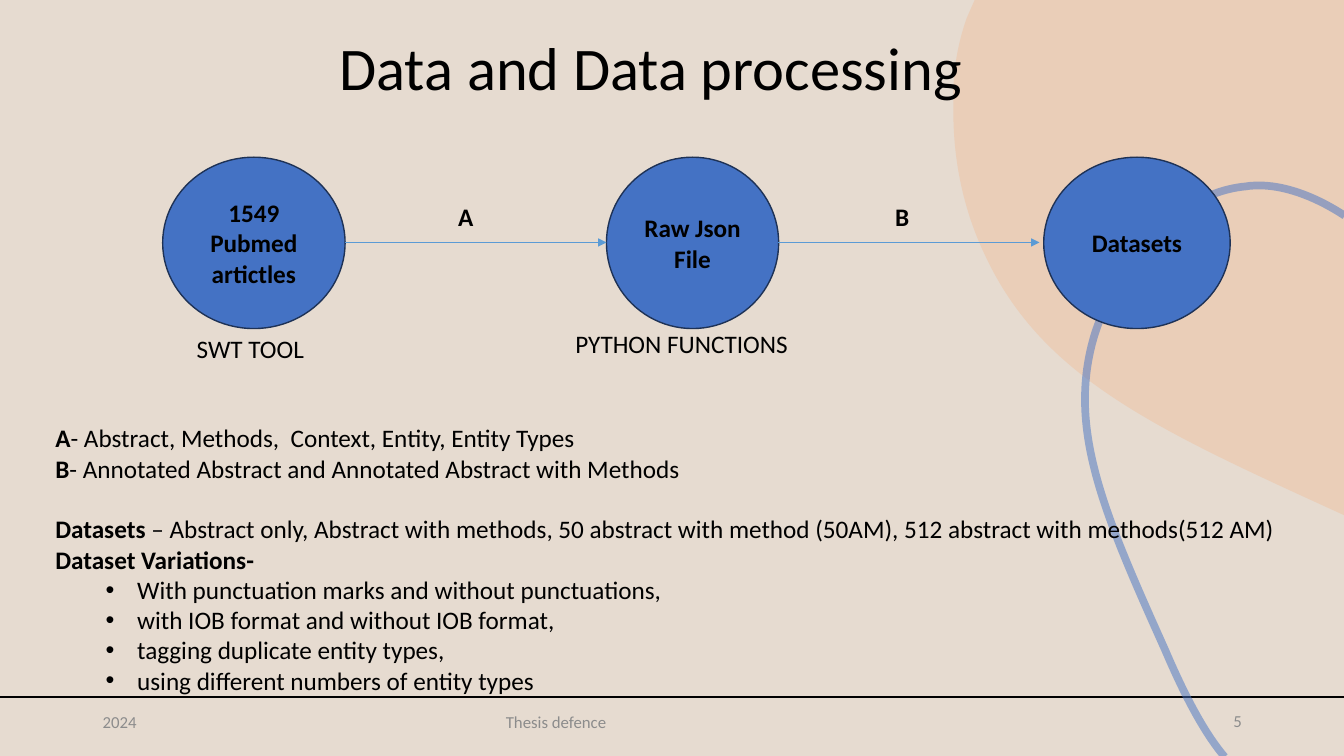
from dataclasses import dataclass

from lxml import etree
from pptx import Presentation
from pptx.dml.color import RGBColor
from pptx.enum.shapes import MSO_CONNECTOR, MSO_SHAPE
from pptx.enum.text import MSO_ANCHOR, PP_ALIGN
from pptx.oxml.ns import qn
from pptx.util import Pt

CIRCLE = MSO_SHAPE.FLOWCHART_CONNECTOR
STRAIGHT = MSO_CONNECTOR.STRAIGHT
TOP, MIDDLE = MSO_ANCHOR.TOP, MSO_ANCHOR.MIDDLE
LEFT, CENTER, RIGHT = PP_ALIGN.LEFT, PP_ALIGN.CENTER, PP_ALIGN.RIGHT

SAND = RGBColor(0xE6, 0xDB, 0xD0)
PEACH = RGBColor(0xF4, 0xB1, 0x83)
BLUE = RGBColor(0x44, 0x72, 0xC4)
NAVY = RGBColor(0x1E, 0x32, 0x56)
SKY = RGBColor(0x5B, 0x9B, 0xD5)
BLACK = RGBColor(0, 0, 0)
GRAY = RGBColor(0x8C, 0x8C, 0x8C)

FONT = "Calibri"
ARROW_Y = 173.2


@dataclass(frozen=True)
class Span:
    text: str
    bold: bool = False


@dataclass(frozen=True)
class Para:
    spans: tuple[Span, ...]
    bullet: bool = False
    before: float = 0
    tab: float = 0


@dataclass(frozen=True)
class Label:
    left: float
    top: float
    width: float
    height: float
    paras: tuple[Para, ...]
    size: float = 18
    color: RGBColor = BLACK
    align: PP_ALIGN = LEFT
    anchor: MSO_ANCHOR = TOP
    spacing: float = 1


@dataclass(frozen=True)
class Stage:
    left: float
    width: float
    text: str


@dataclass(frozen=True)
class Rule:
    start: float
    end: float
    y: float
    color: RGBColor
    weight: float
    arrow: bool = False


Point = tuple[float, float]


@dataclass(frozen=True)
class Outline:
    corner: Point
    opposite: Point
    start: Point
    segments: tuple[tuple[Point, ...], ...]
    closed: bool


def single(text: str, bold: bool = False, tab: float = 0) -> tuple[Para, ...]:
    return (Para((Span(text, bold),), tab=tab),)


def bullet(text: str) -> Para:
    return Para((Span(text),), bullet=True)


BLOB = Outline((681, 0), (960, 368), (696.2, 0), (
    ((960, 0),), ((960, 368),), ((941, 359.3),),
    ((817.9, 303.1), (743, 265.7), (704.2, 183.6)),
    ((682.6, 139), (680.4, 97.2), (681.1, 72.7)),
    ((680.4, 56.9), (682.6, 35.3), (690.5, 13)),
), True)
RIBBON = Outline((775.4, 132.5), (960.8, 540.7), (874.8, 540.7), (
    ((862.6, 526.3), (848.9, 503.3), (832.3, 464.4)),
    ((787.7, 365), (761.8, 305.3), (781.9, 239)),
    ((792.7, 205.2), (811.4, 182.2), (823.7, 169.2)),
    ((835.9, 156.2), (858.2, 136.1), (889.9, 133.2)),
    ((893.5, 132.5), (897.8, 132.5), (901.4, 132.5)),
    ((920.9, 133.2), (941.8, 141.8), (960.5, 154.1)),
), False)

STAGES = (
    Stage(116.2, 130.3, "1549 Pubmed artictles"),
    Stage(433.2, 123, "Raw Json File"),
    Stage(745.5, 133.2, "Datasets"),
)
FOOTER_RULE = Rule(0, 960, 498, BLACK, 1.25)
ARROWS = (
    Rule(246.5, 433.2, ARROW_Y, SKY, 0.5, True),
    Rule(556, 742.5, ARROW_Y, SKY, 0.5, True),
)

DETAILS = (
    Para((Span("A", True), Span("- Abstract, Methods,  Context, Entity, Entity Types"))),
    Para((Span("B", True), Span("- Annotated Abstract and Annotated Abstract with Methods"))),
    Para((Span("Datasets", True),
          Span(" – Abstract only, Abstract with methods, 50 abstract with method (50AM), "
               "512 abstract with methods(512 AM)")), before=21.8),
    Para((Span("Dataset Variations-", True),)),
    bullet("With punctuation marks and without punctuations,"),
    bullet("with IOB format and without IOB format,"),
    bullet("tagging duplicate entity types,"),
    bullet("using different numbers of entity types"),
)
LABELS = (
    Label(50.7, 24.1, 828, 53.3, single("Data and Data processing"), 43.2,
          align=CENTER, anchor=MIDDLE, spacing=0.9),
    Label(678.2, 500.4, 216, 28.8, single("5"), 12, GRAY, RIGHT, MIDDLE),
    Label(320.1, 140.4, 111.6, 29, single("A", True)),
    Label(632.2, 140.4, 111.6, 29, single("B", True)),
    Label(133.4, 234.7, 110.2, 29, single("SWT TOOL")),
    Label(403.9, 231.1, 186.5, 29, single("PYTHON FUNCTIONS")),
    Label(32.4, 298.4, 913.7, 203.8, DETAILS),
    Label(66.2, 501.1, 563, 28.8, single("2024\tThesis defence", tab=288), 12, GRAY,
          anchor=MIDDLE),
)


def draw_outline(page, outline: Outline):
    left, top = outline.corner
    right, bottom = outline.opposite
    builder = page.shapes.build_freeform(Pt(left), Pt(top))
    builder.add_line_segments([(Pt(right), Pt(bottom))], close=False)
    shape = builder.convert_to_shape()
    shape.shadow.inherit = False
    track = next(shape._element.iter(qn("a:path")))
    for step in list(track):
        track.remove(step)
    for points in ((outline.start,), *outline.segments):
        tag = "a:cubicBezTo" if len(points) == 3 else "a:lnTo" if len(track) else "a:moveTo"
        step = etree.SubElement(track, qn(tag))
        for x, y in points:
            etree.SubElement(step, qn("a:pt"), x=str(Pt(x - left)), y=str(Pt(y - top)))
    if outline.closed:
        etree.SubElement(track, qn("a:close"))
    return shape


def paint(fill, color: RGBColor, opacity: int = 100) -> None:
    fill.solid()
    fill.fore_color.rgb = color
    if opacity < 100:
        color_node = next(fill._xPr.iter(qn("a:srgbClr")))
        etree.SubElement(color_node, qn("a:alpha"), val=str(opacity * 1000))


def write(frame, label: Label) -> None:
    frame.word_wrap = True
    frame.vertical_anchor = label.anchor
    for index, para in enumerate(label.paras):
        paragraph = frame.add_paragraph() if index else frame.paragraphs[0]
        paragraph.alignment = label.align
        paragraph.line_spacing = label.spacing
        paragraph.space_before = Pt(para.before)
        properties = paragraph._p.get_or_add_pPr()
        if para.bullet:
            paragraph.level = 1
            properties.set("marL", str(Pt(58.5)))
            properties.set("indent", str(Pt(-22.5)))
            etree.SubElement(properties, qn("a:buFont"), typeface="Arial")
            etree.SubElement(properties, qn("a:buChar"), char="•")
        if para.tab:
            tabs = etree.SubElement(properties, qn("a:tabLst"))
            etree.SubElement(tabs, qn("a:tab"), pos=str(Pt(para.tab)), algn="l")
        for span in para.spans:
            run = paragraph.add_run()
            run.text = span.text
            run.font.name = FONT
            run.font.size = Pt(label.size)
            run.font.bold = span.bold
            run.font.color.rgb = label.color


def draw_label(page, label: Label) -> None:
    box = page.shapes.add_textbox(Pt(label.left), Pt(label.top), Pt(label.width), Pt(label.height))
    write(box.text_frame, label)


def draw_stage(page, stage: Stage) -> None:
    top, height = 112.3, 122.4
    circle = page.shapes.add_shape(CIRCLE, Pt(stage.left), Pt(top), Pt(stage.width), Pt(height))
    circle.shadow.inherit = False
    paint(circle.fill, BLUE)
    paint(circle.line.fill, NAVY)
    circle.line.width = Pt(1)
    write(circle.text_frame, Label(stage.left, top, stage.width, height,
                                   single(stage.text, True), align=CENTER, anchor=MIDDLE))


def draw_rule(page, rule: Rule) -> None:
    line = page.shapes.add_connector(STRAIGHT, Pt(rule.start), Pt(rule.y), Pt(rule.end), Pt(rule.y))
    paint(line.line.fill, rule.color)
    line.line.width = Pt(rule.weight)
    if rule.arrow:
        etree.SubElement(line.line._get_or_add_ln(), qn("a:tailEnd"), type="triangle")
    etree.SubElement(line._element.spPr, qn("a:effectLst"))


def main() -> None:
    deck = Presentation()
    deck.slide_width, deck.slide_height = Pt(960), Pt(540)
    page = deck.slides.add_slide(deck.slide_layouts[6])
    paint(page.background.fill, SAND)
    draw_rule(page, FOOTER_RULE)
    blob = draw_outline(page, BLOB)
    paint(blob.fill, PEACH, 30)
    blob.line.fill.background()
    ribbon = draw_outline(page, RIBBON)
    ribbon.fill.background()
    paint(ribbon.line.fill, BLUE, 50)
    ribbon.line.width = Pt(5.5)
    for stage in STAGES:
        draw_stage(page, stage)
    for arrow in ARROWS:
        draw_rule(page, arrow)
    for label in LABELS:
        draw_label(page, label)
    deck.save("out.pptx")


if __name__ == "__main__":
    main()
